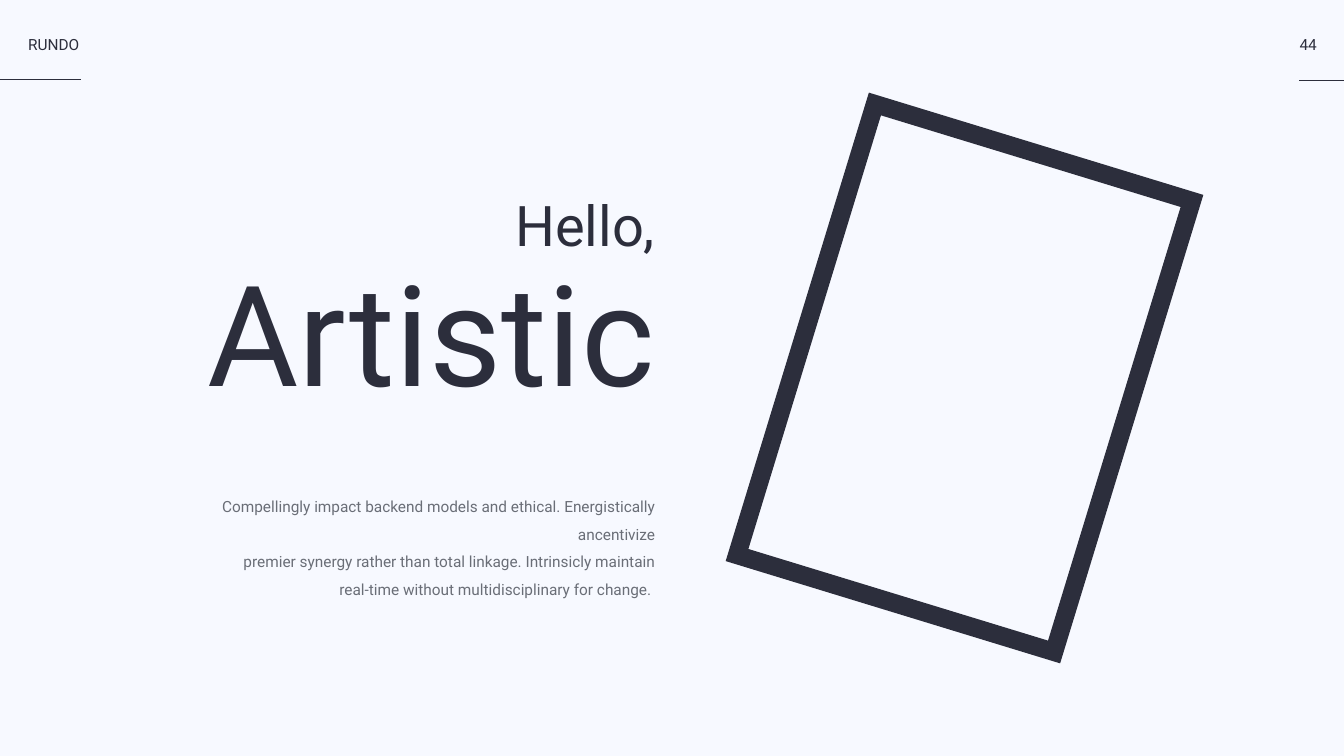
from lxml.etree import SubElement
from pptx import Presentation
from pptx.dml.color import RGBColor
from pptx.enum.shapes import MSO_CONNECTOR, MSO_SHAPE
from pptx.enum.text import MSO_ANCHOR, MSO_AUTO_SIZE, PP_ALIGN
from pptx.oxml.ns import qn
from pptx.util import Pt

FONT = "Roboto"
COLORS = {"background": "F7F9FF", "ink": "2C2E3C", "muted": "6A6E77"}
SLIDE_WIDTH, SLIDE_HEIGHT = 1920.24, 1080

HEADLINE = {"lines": ["Artistic"], "box": (272.9, 352.8, 663.1, 264.2),
            "size": 200, "align": PP_ALIGN.RIGHT}
LABELS = [
    {"lines": ["RUNDO"], "box": (40.3, 49.7, 75.6, 28.8), "size": 22},
    {"lines": ["44"], "box": (1856.2, 49.7, 25.9, 28.8), "size": 22,
     "align": PP_ALIGN.CENTER},
    {"lines": ["Hello,"], "box": (726.5, 267.1, 209.5, 105.8), "size": 80,
     "align": PP_ALIGN.RIGHT, "anchor": MSO_ANCHOR.MIDDLE},
    {"lines": [
        "Compellingly impact backend models and ethical. Energistically ancentivize",
        "premier synergy rather than total linkage. Intrinsicly maintain",
        "real-time without multidisciplinary for change. "],
     "box": (203.8, 697, 732.2, 115.9), "size": 22, "color": "muted",
     "align": PP_ALIGN.RIGHT, "spacing": 1.5, "wrap": True},
]
RULES = [(0, 115.9, 113.8), (1856.2, SLIDE_WIDTH, 115.2)]
FRAME = {"box": (1128.2, 190.1, 499.7, 699.8), "rotation": 17, "thickness": 26}


def color(name):
    return RGBColor.from_string(COLORS[name])


def place(shape, box):
    shape.left, shape.top, shape.width, shape.height = map(Pt, box)


def write(shape, content):
    place(shape, content["box"])
    frame = shape.text_frame
    frame.margin_left = frame.margin_right = frame.margin_top = frame.margin_bottom = 0
    frame.vertical_anchor = content.get("anchor", MSO_ANCHOR.TOP)
    frame.word_wrap = content.get("wrap", False)
    frame.auto_size = MSO_AUTO_SIZE.SHAPE_TO_FIT_TEXT
    frame.text = "\n".join(content["lines"])
    for paragraph in frame.paragraphs:
        paragraph.alignment = content.get("align", PP_ALIGN.LEFT)
        paragraph.line_spacing = content.get("spacing", 1.0)
        paragraph.space_before = Pt(0)
        for run in paragraph.runs:
            run.font.name = FONT
            run.font.size = Pt(content["size"])
            run.font.color.rgb = color(content.get("color", "ink"))


def add_rule(slide, start, end, height):
    rule = slide.shapes.add_connector(
        MSO_CONNECTOR.STRAIGHT, Pt(start), Pt(height), Pt(end), Pt(height))
    rule.line.color.rgb = color("ink")
    rule.line.width = Pt(2)
    SubElement(rule._element.spPr, qn("a:effectLst"))


def add_picture_frame(slide):
    border = slide.shapes.add_shape(MSO_SHAPE.FRAME, *map(Pt, FRAME["box"]))
    border.adjustments[0] = FRAME["thickness"] / min(FRAME["box"][2:])
    border.rotation = FRAME["rotation"]
    border.fill.solid()
    border.fill.fore_color.rgb = color("ink")
    border.line.fill.background()
    border.shadow.inherit = False


def main():
    deck = Presentation()
    deck.slide_width, deck.slide_height = Pt(SLIDE_WIDTH), Pt(SLIDE_HEIGHT)
    slide = deck.slides.add_slide(deck.slide_layouts[5])
    slide.background.fill.solid()
    slide.background.fill.fore_color.rgb = color("background")
    for rule in RULES:
        add_rule(slide, *rule)
    add_picture_frame(slide)
    write(slide.shapes.title, HEADLINE)
    for label in LABELS:
        write(slide.shapes.add_textbox(0, 0, 0, 0), label)
    deck.save("out.pptx")


if __name__ == "__main__":
    main()
